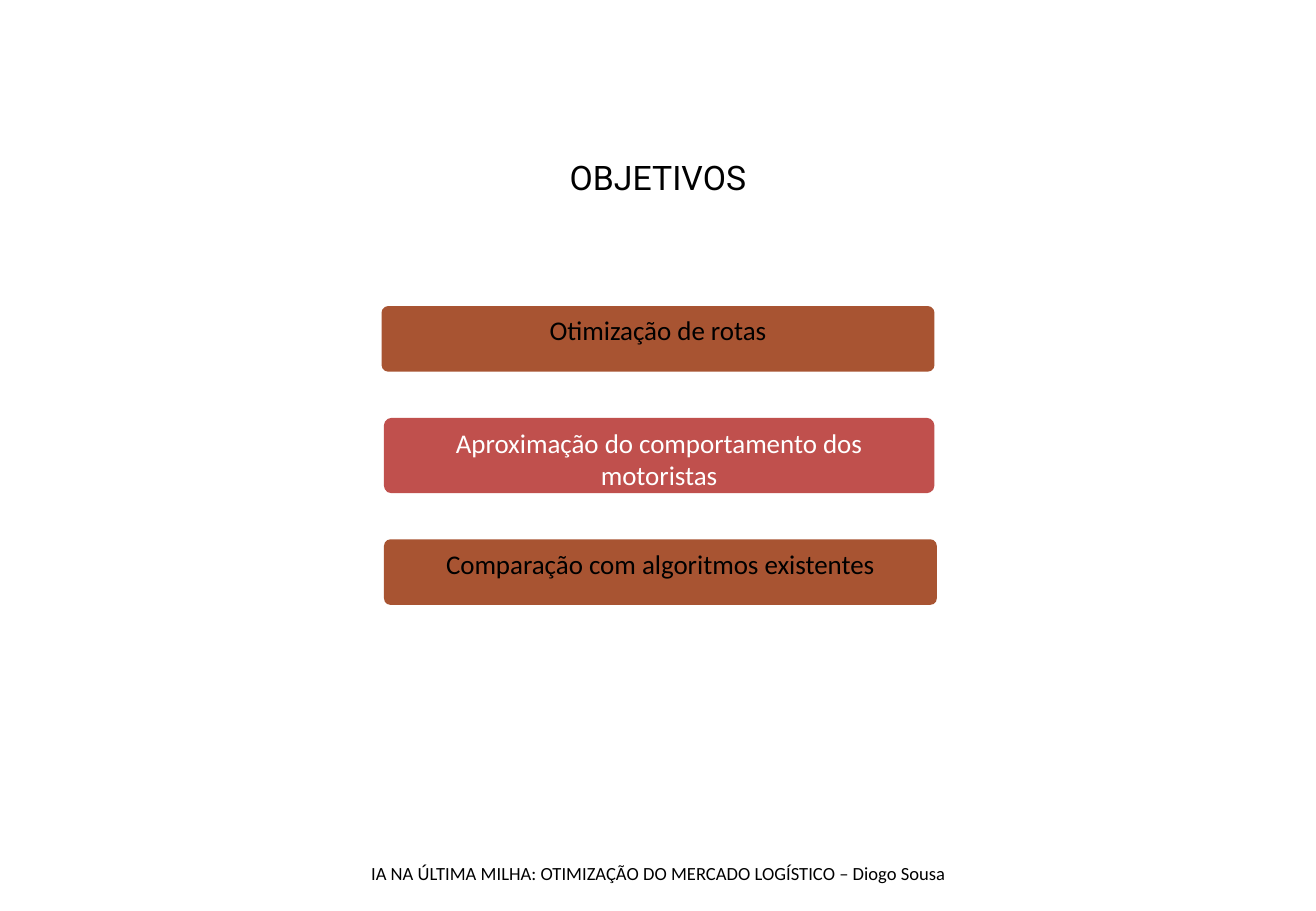
from pptx import Presentation
from pptx.dml.color import RGBColor
from pptx.enum import shapes, text
from pptx.util import Inches, Pt

COLORS = {"black": "000000", "white": "FFFFFF", "brown": "A85432", "red": "C0504D"}


class SlideBuilder:
    """Holds the style and the current slide."""

    body_font = "Calibri"
    title_font = "Roboto"

    def __init__(self, slide):
        self.slide = slide
        slide.background.fill.solid()
        slide.background.fill.fore_color.rgb = self.color("white")

    def color(self, name):
        return RGBColor.from_string(COLORS[name])

    def add_words(self, shape, words, size, color, font, anchor):
        frame = shape.text_frame
        frame.word_wrap = True
        frame.vertical_anchor = anchor
        paragraph = frame.paragraphs[0]
        paragraph.alignment = text.PP_ALIGN.CENTER
        run = paragraph.add_run()
        run.text = words
        run.font.name = font
        run.font.size = Pt(size)
        run.font.color.rgb = self.color(color)
        return paragraph

    def label(self, box, words, size, font=body_font, anchor=text.MSO_ANCHOR.TOP):
        shape = self.slide.shapes.add_textbox(*map(Inches, box))
        return self.add_words(shape, words, size, "black", font, anchor)

    def bar(self, box, words, fill, color):
        shape = self.slide.shapes.add_shape(
            shapes.MSO_SHAPE.ROUNDED_RECTANGLE, *map(Inches, box))
        shape.adjustments[0] = 0.1
        shape.shadow.inherit = False
        shape.fill.solid()
        shape.fill.fore_color.rgb = self.color(fill)
        shape.line.fill.background()
        self.add_words(shape, words, 16, color, self.body_font, text.MSO_ANCHOR.TOP)


def main():
    presentation = Presentation()
    presentation.slide_width = Inches(10.83)
    presentation.slide_height = Inches(7.5)
    builder = SlideBuilder(presentation.slides.add_slide(presentation.slide_layouts[6]))

    # Title
    title = builder.label((0.75, 1.17, 9.33, 0.62), "OBJETIVOS", 20,
                          builder.title_font, text.MSO_ANCHOR.MIDDLE)
    title.line_spacing = 0.9

    # Objectives, stacked with an equal gap
    objectives = [
        (3.14, 4.55, 0.54, "Otimização de rotas", "brown", "black"),
        (3.16, 4.53, 0.62, "Aproximação do comportamento dos motoristas", "red", "white"),
        (3.16, 4.55, 0.54, "Comparação com algoritmos existentes", "brown", "black"),
    ]
    top, gap = 2.52, 0.38
    for left, width, height, words, fill, color in objectives:
        builder.bar((left, top, width, height), words, fill, color)
        top += height + gap

    # Footer
    builder.label((2.67, 7.05, 5.5, 0.45),
                  "IA NA ÚLTIMA MILHA: OTIMIZAÇÃO DO MERCADO LOGÍSTICO – Diogo Sousa", 11)

    presentation.save("out.pptx")


if __name__ == "__main__":
    main()
